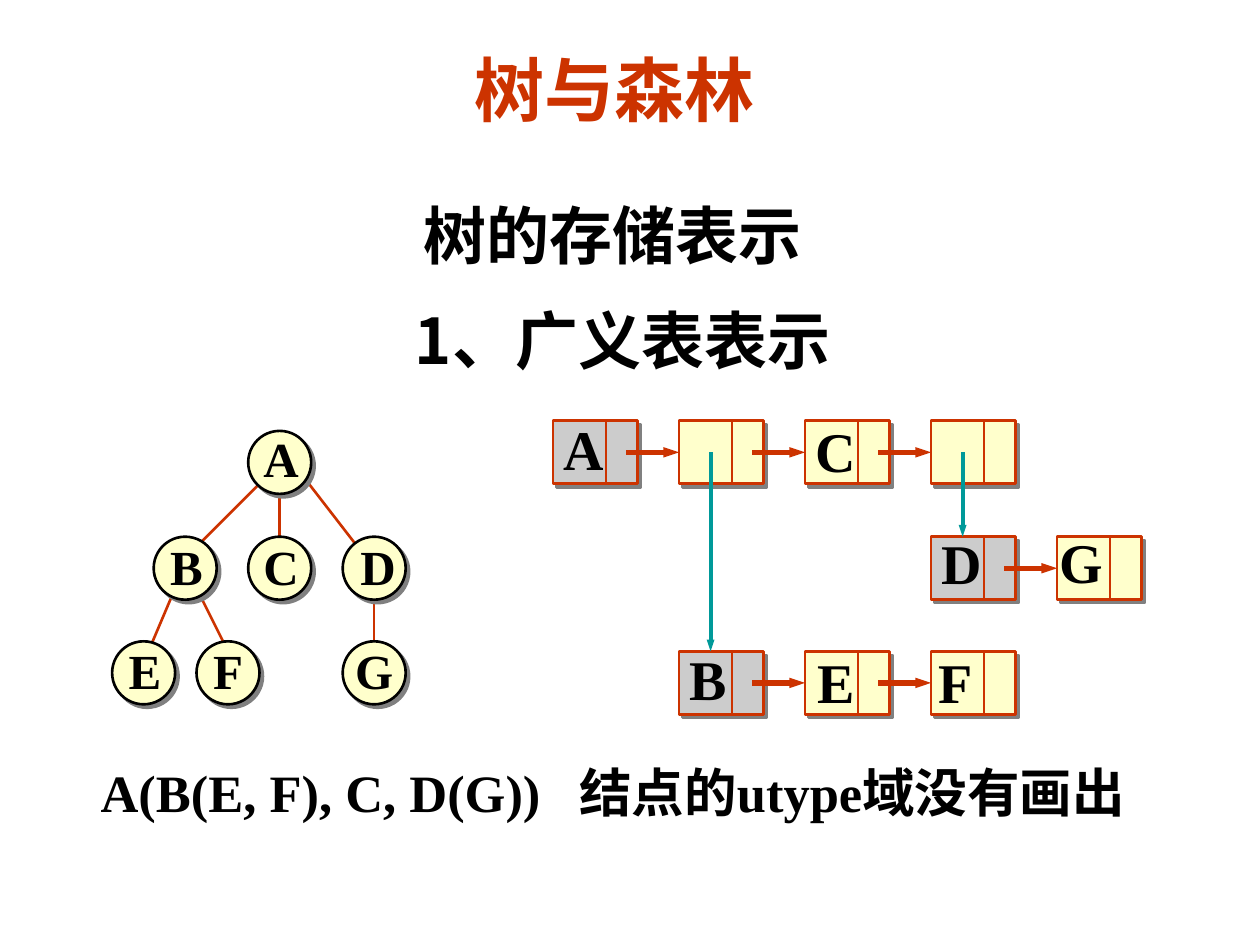
"""Build the slide on storing a tree as a generalized list."""
from lxml import etree
from pptx import Presentation
from pptx.dml.color import RGBColor
from pptx.enum import shapes, text
from pptx.oxml import ns
from pptx.util import Inches, Pt

RED = RGBColor(0xCC, 0x33, 0x00)
TEAL = RGBColor(0x00, 0x99, 0x99)
CREAM = RGBColor(0xFF, 0xFF, 0xCC)
GREY = RGBColor(0xCC, 0xCC, 0xCC)
BLACK = RGBColor(0x00, 0x00, 0x00)
SERIF, SANS = "Times New Roman", "Noto Sans CJK JP"
SHADOW = (
    '<a:effectLst xmlns:a="http://schemas.openxmlformats.org/drawingml/2006/main">'
    '<a:outerShdw dist="35560" dir="2700000" algn="ctr" rotWithShape="0">'
    '<a:srgbClr val="808080"/></a:outerShdw></a:effectLst>'
)

prs = Presentation()
prs.slide_width, prs.slide_height = Inches(10), Inches(7.5)
slide = prs.slides.add_slide(prs.slide_layouts[6])


def add_text(words, left, top, width, height, size, font=SERIF, color=BLACK,
             wrap=True, anchor=text.MSO_ANCHOR.TOP, tab=None):
    box = slide.shapes.add_textbox(*map(Inches, (left, top, width, height)))
    frame = box.text_frame
    frame.word_wrap = wrap
    frame.vertical_anchor = anchor
    paragraph = frame.paragraphs[0]
    paragraph.alignment = text.PP_ALIGN.LEFT if tab else text.PP_ALIGN.CENTER
    if tab:
        stops = etree.SubElement(paragraph._p.get_or_add_pPr(), ns.qn("a:tabLst"))
        etree.SubElement(stops, ns.qn("a:tab"), pos=str(Inches(tab)), algn="l")
    run = paragraph.add_run()
    run.text = words
    for name, value in {"size": Pt(size), "bold": True, "name": font}.items():
        setattr(run.font, name, value)
    run.font.color.rgb = color
    etree.SubElement(run._r.get_or_add_rPr(), ns.qn("a:ea"), typeface=SANS)


def add_line(x1, y1, x2, y2, color=RED, weight=1.5, arrow=False):
    line = slide.shapes.add_connector(
        shapes.MSO_CONNECTOR.STRAIGHT, *map(Inches, (x1, y1, x2, y2)))
    line.line.color.rgb = color
    line.line.width = Pt(weight)
    if arrow:
        etree.SubElement(line.line._get_or_add_ln(), ns.qn("a:tailEnd"),
                         type="triangle", w="sm", len="med")
    etree.SubElement(line._element.spPr, ns.qn("a:effectLst"))
    return line


add_text("树的存储表示", 1.61, 1.51, 6.5, 0.7, 36, SANS)
add_text("1、广义表表示", 1.69, 2.34, 6.5, 0.7, 36, SANS)
add_text("A(B(E, F), C, D(G))\t结点的utype域没有画出", 0.7, 5.98, 8.75, 0.6, 30, tab=3.8)
add_text("树与森林", 2.91, 0.32, 3.94, 0.76, 40, "Arial", RED,
         anchor=text.MSO_ANCHOR.MIDDLE)

branches = [
    (2.97, 4.67, 2.97, 5.26), (2.39, 3.76, 2.97, 4.51), (1.56, 4.67, 1.81, 5.17),
    (1.39, 4.67, 1.14, 5.26), (2.06, 3.84, 1.56, 4.34), (2.22, 3.84, 2.22, 4.34),
]
for branch in branches:
    add_line(*branch)

tree_nodes = [
    ("A", 1.97, 3.42, 1.99, 3.35, 0.48), ("B", 1.22, 4.26, 1.25, 4.21, 0.46),
    ("C", 1.97, 4.26, 1.99, 4.21, 0.48), ("D", 2.72, 4.26, 2.76, 4.21, 0.48),
    ("E", 0.89, 5.09, 0.92, 5.03, 0.46), ("F", 1.56, 5.09, 1.59, 5.03, 0.44),
    ("G", 2.72, 5.09, 2.72, 5.03, 0.5),
]
for letter, x, y, label_x, label_y, label_w in tree_nodes:
    node = slide.shapes.add_shape(
        shapes.MSO_SHAPE.OVAL, *map(Inches, (x, y, 0.5, 0.5)))
    node.fill.solid()
    node.fill.fore_color.rgb = CREAM
    node.line.color.rgb = BLACK
    node.line.width = Pt(1.5)
    node._element.spPr.append(etree.fromstring(SHADOW))
    add_text(letter, label_x, label_y, label_w, 0.57, 28,
             wrap=False, anchor=text.MSO_ANCHOR.MIDDLE)

list_rows = [(3.34, 4.39, 4), (4.26, 7.39, 2), (5.17, 5.39, 3)]
for y, first_x, count in list_rows:
    cells = []
    for i in range(count):
        x = first_x + i
        cell = slide.shapes.add_shape(
            shapes.MSO_SHAPE.RECTANGLE, *map(Inches, (x, y, 0.67, 0.5)))
        cell.fill.solid()
        cell.fill.fore_color.rgb = CREAM if i else GREY
        cell.line.color.rgb = RED
        cell.line.width = Pt(1.5)
        cell._element.spPr.append(etree.fromstring(SHADOW))
        add_line(x + 0.42, y, x + 0.42, y + 0.5)
        cells.append(cell)
    for i, next_cell in enumerate(cells[1:]):
        x = first_x + i
        link = add_line(x + 0.58, y + 0.25, x + 1, y + 0.25, weight=3, arrow=True)
        link.end_connect(next_cell, 1)

for x, child_y in [(5.64, 5.17), (7.64, 4.26)]:
    add_line(x, 3.59, x, child_y, TEAL, 2.25, arrow=True)

list_labels = [
    ("A", 4.37, 3.24, 0.52), ("B", 5.37, 5.07, 0.5), ("E", 6.39, 5.09, 0.5),
    ("F", 7.35, 5.09, 0.47), ("C", 6.37, 3.26, 0.52), ("D", 7.37, 4.15, 0.52),
    ("G", 8.31, 4.14, 0.55),
]
for letter, x, y, width in list_labels:
    add_text(letter, x, y, width, 0.63, 32,
             wrap=False, anchor=text.MSO_ANCHOR.MIDDLE)

prs.save("out.pptx")
